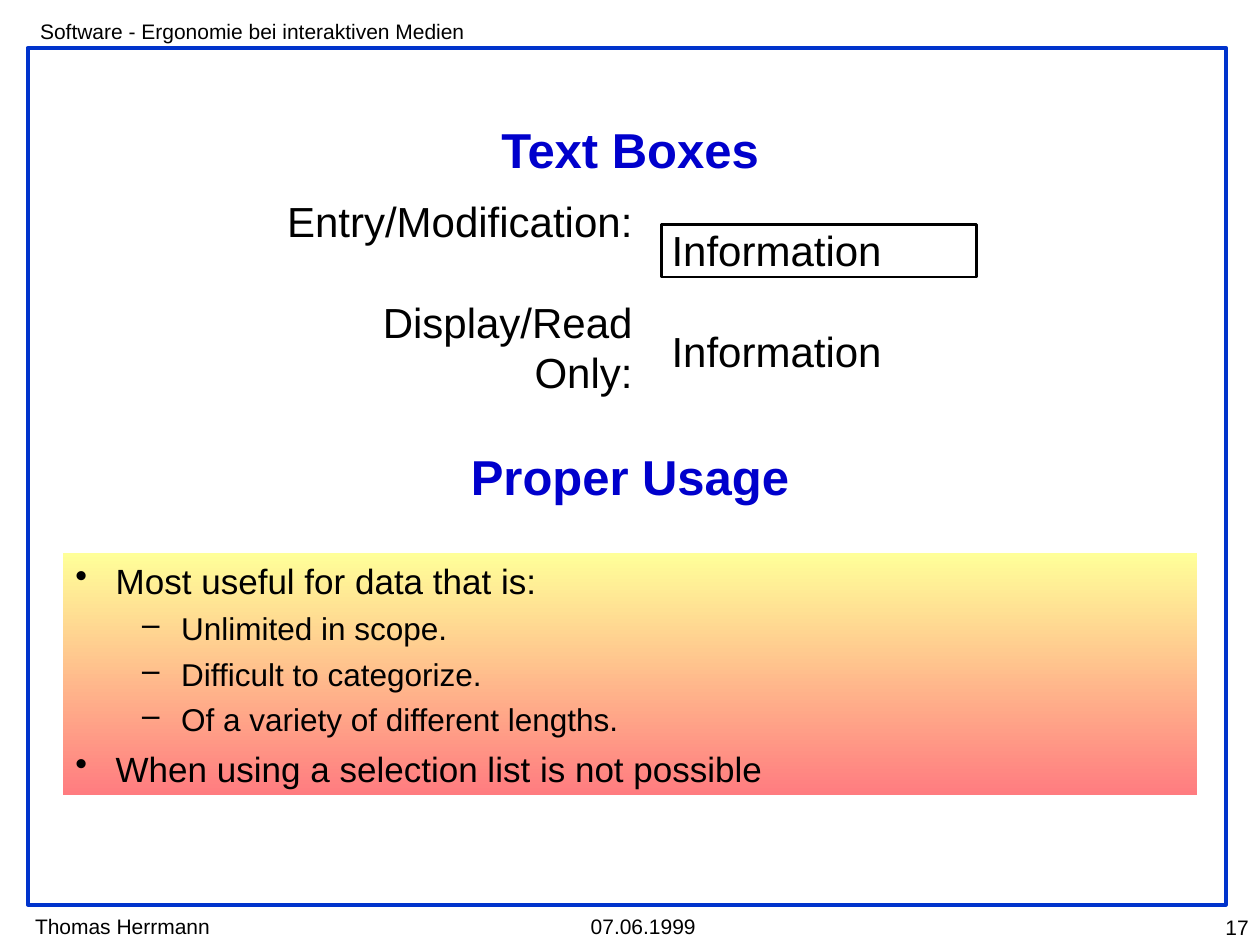
from lxml import etree
from pptx import Presentation
from pptx.dml.color import RGBColor
from pptx.enum.shapes import MSO_SHAPE
from pptx.enum.text import MSO_ANCHOR, PP_ALIGN
from pptx.oxml.ns import qn
from pptx.util import Inches, Pt

RECTANGLE = MSO_SHAPE.RECTANGLE
TOP, MIDDLE = MSO_ANCHOR.TOP, MSO_ANCHOR.MIDDLE
LEFT, CENTER, RIGHT = PP_ALIGN.LEFT, PP_ALIGN.CENTER, PP_ALIGN.RIGHT
FONT = "Arial"
COLORS = {
    "text": "000000",
    "heading": "0000CC",
    "frame": "0033CC",
    "field": "FFFFFF",
    "gradient_top": "FFFF99",
    "gradient_bottom": "FF7C80",
}
LEVELS = [
    {"bullet": "•", "size": 20, "margin": 0.32, "indent": -0.32, "before": 5},
    {"bullet": "–", "size": 18, "margin": 0.84, "indent": -0.31, "before": 4.5},
]
USAGE = [
    (0, "Most useful for data that is:"),
    (1, "Unlimited in scope."),
    (1, "Difficult to categorize."),
    (1, "Of a variety of different lengths."),
    (0, "When using a selection list is not possible"),
]


def rgb(name):
    """Return the named colour."""
    return RGBColor.from_string(COLORS[name])


def style_font(paragraph, size, color="text", bold=False):
    """Format every run of a paragraph."""
    for run in paragraph.runs:
        run.font.name = FONT
        run.font.size = Pt(size)
        run.font.bold = bold
        run.font.color.rgb = rgb(color)


def set_frame(text_frame, anchor, wrap=True, inset=(0.1, 0.05)):
    """Set the anchor, wrapping and insets of a text frame."""
    text_frame.word_wrap = wrap
    text_frame.vertical_anchor = anchor
    text_frame.margin_left = text_frame.margin_right = Inches(inset[0])
    text_frame.margin_top = text_frame.margin_bottom = Inches(inset[1])


def add_rectangle(slide, left, top, width, height):
    """Add a rectangle without shadow, fill or line."""
    shape = slide.shapes.add_shape(
        RECTANGLE, Inches(left), Inches(top), Inches(width), Inches(height))
    shape.shadow.inherit = False
    shape.fill.background()
    shape.line.fill.background()
    return shape


def add_outline(slide, box, color, weight):
    """Add an outlined rectangle."""
    shape = add_rectangle(slide, *box)
    shape.line.color.rgb = rgb(color)
    shape.line.width = Pt(weight)
    return shape


def add_label(slide, text, left, top, width, align=LEFT):
    """Add a small header or footer text."""
    box = slide.shapes.add_textbox(
        Inches(left), Inches(top), Inches(width), Inches(0.3))
    set_frame(box.text_frame, TOP)
    paragraph = box.text_frame.paragraphs[0]
    paragraph.text = text
    paragraph.alignment = align
    style_font(paragraph, 12)


def add_column(slide, lines, left, top, width, align):
    """Add a column of large lines, one blank line height apart."""
    box = slide.shapes.add_textbox(
        Inches(left), Inches(top), Inches(width), Inches(1.2))
    text_frame = box.text_frame
    set_frame(text_frame, MIDDLE, wrap=False, inset=(0, 0))
    text_frame.text = "\n".join(lines)
    for index, paragraph in enumerate(text_frame.paragraphs):
        paragraph.alignment = align
        if index:
            paragraph.space_before = Pt(28.8)
        style_font(paragraph, 24)


def format_heading(shape, text, top):
    """Place a heading across the slide and format it."""
    shape.left, shape.top = Inches(0.5), Inches(top)
    shape.width, shape.height = Inches(9), Inches(0.56)
    set_frame(shape.text_frame, MIDDLE)
    paragraph = shape.text_frame.paragraphs[0]
    paragraph.text = text
    paragraph.alignment = CENTER
    style_font(paragraph, 28, "heading", True)


def set_bullet(paragraph, level):
    """Give a paragraph the bullet and indent of its level."""
    properties = paragraph._p.get_or_add_pPr()
    properties.set("marL", str(Inches(level["margin"])))
    properties.set("indent", str(Inches(level["indent"])))
    etree.SubElement(properties, qn("a:buChar")).set("char", level["bullet"])


def add_usage_panel(slide):
    """Add the gradient panel with the bullet list."""
    panel = add_rectangle(slide, 0.5, 4.39, 9, 1.92)
    panel.fill.gradient()
    panel.fill.gradient_angle = 270
    stops = panel.fill.gradient_stops
    for stop, position, color in zip(
            stops, (0, 1), ("gradient_top", "gradient_bottom")):
        stop.position = position
        stop.color.rgb = rgb(color)
    text_frame = panel.text_frame
    set_frame(text_frame, MIDDLE)
    text_frame.text = "\n".join(text for _, text in USAGE)
    for index, (depth, _) in enumerate(USAGE):
        paragraph = text_frame.paragraphs[index]
        level = LEVELS[depth]
        paragraph.level = depth
        paragraph.alignment = LEFT
        set_bullet(paragraph, level)
        if index:
            paragraph.space_before = Pt(level["before"])
        style_font(paragraph, level["size"])


def main():
    """Build the slide and save it."""
    presentation = Presentation()
    presentation.slide_width, presentation.slide_height = Inches(10), Inches(7.5)
    slide = presentation.slides.add_slide(presentation.slide_layouts[5])

    add_outline(slide, (0.22, 0.38, 9.51, 6.8), "frame", 2.25)
    add_label(slide, "Thomas Herrmann", 0.18, 7.2, 1.7)
    add_label(slide, "Software - Ergonomie bei interaktiven Medien", 0.22, 0.1, 3.7)
    add_label(slide, "07.06.1999", 4.59, 7.2, 1.1)
    add_label(slide, "17", 9.05, 7.21, 0.96, RIGHT)

    field = add_outline(slide, (5.25, 1.78, 2.5, 0.42), "text", 1.5)
    field.fill.solid()
    field.fill.fore_color.rgb = rgb("field")
    add_column(slide, ["Entry/Modification:", "Display/Read Only:"],
               2.17, 1.75, 2.85, RIGHT)
    add_column(slide, ["Information"] * 2, 5.33, 1.78, 1.67, LEFT)

    format_heading(slide.shapes.title, "Text Boxes", 0.9)
    format_heading(slide.shapes.add_textbox(0, 0, 0, 0), "Proper Usage", 3.5)
    add_usage_panel(slide)
    presentation.save("out.pptx")


if __name__ == "__main__":
    main()
